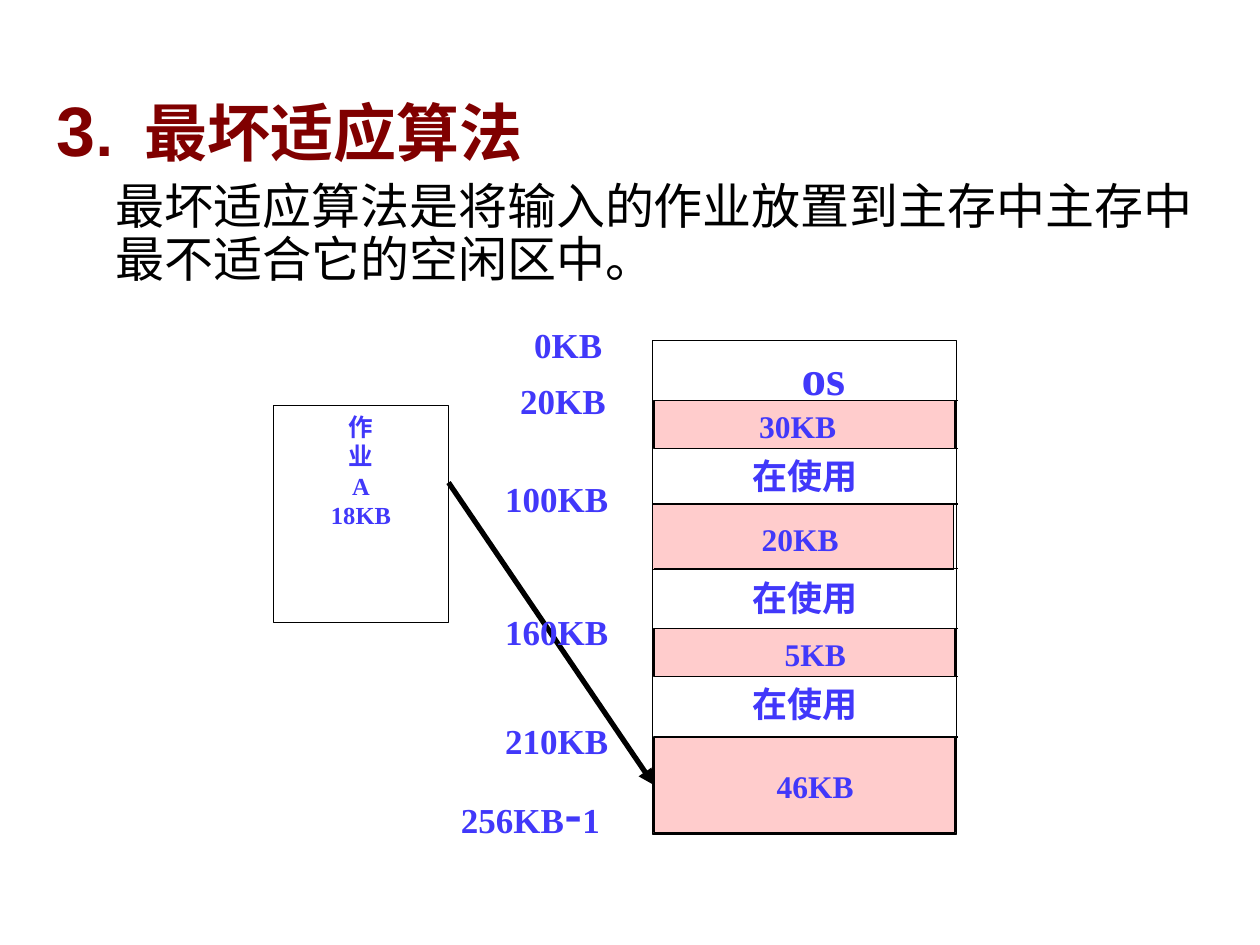
"""Build a slide on the worst-fit memory allocation algorithm."""
import pptx
import pptx.dml.color
import pptx.enum.shapes
import pptx.enum.text
import pptx.oxml
import pptx.oxml.ns
import pptx.util

THEME = {
    "heading": {"name": "Arial", "size": 36, "bold": True, "color": "800000"},
    "number": {"name": "Arial", "size": 40, "bold": True, "color": "800000"},
    "body": {"name": "Arial", "size": 28, "bold": False, "color": "000000"},
    "system": {"name": "Times New Roman", "size": 28, "bold": True, "color": "4138FA"},
    "label": {"name": "Times New Roman", "size": 20, "bold": True, "color": "4138FA"},
    "dash": {"name": "Noto Sans CJK SC", "size": 28, "bold": True, "color": "4138FA"},
    "amount": {"name": "Times New Roman", "size": 18, "bold": True, "color": "4138FA"},
    "job": {"name": "Times New Roman", "size": 14, "bold": True, "color": "4138FA"},
    "line": "000000",
    "used": "FFFFFF",
    "free": "FFCCCC",
}
LEFT = pptx.enum.text.PP_ALIGN.LEFT
CENTER = pptx.enum.text.PP_ALIGN.CENTER
RECTANGLE = pptx.enum.shapes.MSO_SHAPE.RECTANGLE
STRAIGHT = pptx.enum.shapes.MSO_CONNECTOR.STRAIGHT

presentation = pptx.Presentation()
presentation.slide_width = pptx.util.Inches(10)
presentation.slide_height = pptx.util.Inches(7.5)
COLUMN = presentation.slide_width / 100
ROW = presentation.slide_height / 75
slide = presentation.slides.add_slide(presentation.slide_layouts[5])


def grid(*lengths):
    return [round(length * unit) for length, unit in zip(lengths, (COLUMN, ROW) * 2)]


def write(shape, paragraphs, alignment):
    frame = shape.text_frame
    frame.word_wrap = True
    frame.auto_size = pptx.enum.text.MSO_AUTO_SIZE.NONE
    frame.vertical_anchor = pptx.enum.text.MSO_ANCHOR.TOP
    for index, runs in enumerate(paragraphs):
        paragraph = frame.paragraphs[0] if index == 0 else frame.add_paragraph()
        paragraph.alignment = alignment
        for text, style in runs:
            run = paragraph.add_run()
            run.text = text
            values = dict(THEME[style])
            run.font.color.rgb = pptx.dml.color.RGBColor.from_string(values.pop("color"))
            values["size"] = pptx.util.Pt(values["size"])
            for name, value in values.items():
                setattr(run.font, name, value)


title = slide.shapes.title
for name, value in zip(("left", "top", "width", "height"), grid(3.5, 7.1, 93.8, 7)):
    setattr(title, name, value)
write(title, [[("3", "number"), (".\t最坏适应算法", "heading")]], LEFT)
heading = title.text_frame.paragraphs[0]
heading.line_spacing = 0.9
properties = heading._p.get_or_add_pPr()
properties.set("marL", str(round(7 * COLUMN)))
properties.set("indent", str(round(-7 * COLUMN)))

body = slide.shapes.add_textbox(*grid(8.2, 14, 89.1, 10.4))
write(body, [[("最坏适应算法是将输入的作业放置到主存中主存中最不适合它的空闲区中。", "body")]], LEFT)
body.text_frame.paragraphs[0].line_spacing = 0.9

rectangles = {}
for key, box, fill in [
    ("job", (21.7, 32.2, 13.9, 17.2), "used"),
    ("memory", (51.8, 27, 24.1, 39.2), "used"),
    ("30KB", (51.9, 31.8, 23.9, 3.8), "free"),
    ("20KB", (51.8, 40, 23.9, 5.2), "free"),
    ("5KB", (51.9, 49.9, 23.9, 3.8), "free"),
    ("46KB", (51.9, 58.5, 23.9, 7.6), "free"),
]:
    shape = slide.shapes.add_shape(RECTANGLE, *grid(*box))
    shape.shadow.inherit = False
    shape.fill.solid()
    shape.fill.fore_color.rgb = pptx.dml.color.RGBColor.from_string(THEME[fill])
    shape.line.color.rgb = pptx.dml.color.RGBColor.from_string(THEME["line"])
    shape.line.width = pptx.util.Pt(0.75)
    rectangles[key] = shape

write(rectangles["job"], [[(text, "job")] for text in ("作", "业", "A", "18KB")], CENTER)
write(rectangles["memory"], [[("os", "system")]], CENTER)
rectangles["memory"].text_frame.margin_left = round(4 * COLUMN)

connectors = []
for start, end, width in [
    *[((51.9, row), (76, row), 0.75) for row in (31.8, 35.6, 40, 45.1, 49.9, 53.7, 58.5)],
    ((35.6, 38.3), (51.9, 62.3), 3),
]:
    connector = slide.shapes.add_connector(STRAIGHT, *grid(*start, *end))
    connector.line.color.rgb = pptx.dml.color.RGBColor.from_string(THEME["line"])
    connector.line.width = pptx.util.Pt(width)
    connector._element.spPr.append(pptx.oxml.parse_xml(
        f"<a:effectLst {pptx.oxml.ns.nsdecls('a')}/>"))
    connectors.append(connector)
arrow = connectors[-1]
arrow.end_connect(rectangles["46KB"], 1)
arrow.line._get_or_add_ln().append(pptx.oxml.parse_xml(
    f"<a:tailEnd {pptx.oxml.ns.nsdecls('a')} type='triangle'/>"))

for box, runs, alignment in [
    *[((54.7, row, 18.4, 4.4), [("在使用", "label")], CENTER) for row in (35.6, 45.3, 53.7)],
    *[((left, row, 14.2, 4.4), [(text, "amount")], CENTER) for left, row, text in (
        (56.2, 31.8, "30KB"), (56.4, 40.8, "20KB"), (57.6, 49.9, "5KB"), (57.6, 60.4, "46KB"))],
    *[((left, row, 16.1, 4.3), [(text, "label")], LEFT) for left, row, text in (
        (41.4, 25.2, "0KB"), (40.3, 29.6, "20KB"), (39.1, 37.4, "100KB"),
        (39.1, 48, "160KB"), (39.1, 56.6, "210KB"))],
    ((35.6, 61.8, 20.7, 5.7), [("256KB", "label"), ("-", "dash"), ("1", "label")], LEFT),
]:
    write(slide.shapes.add_textbox(*grid(*box)), [runs], alignment)

presentation.save("out.pptx")
